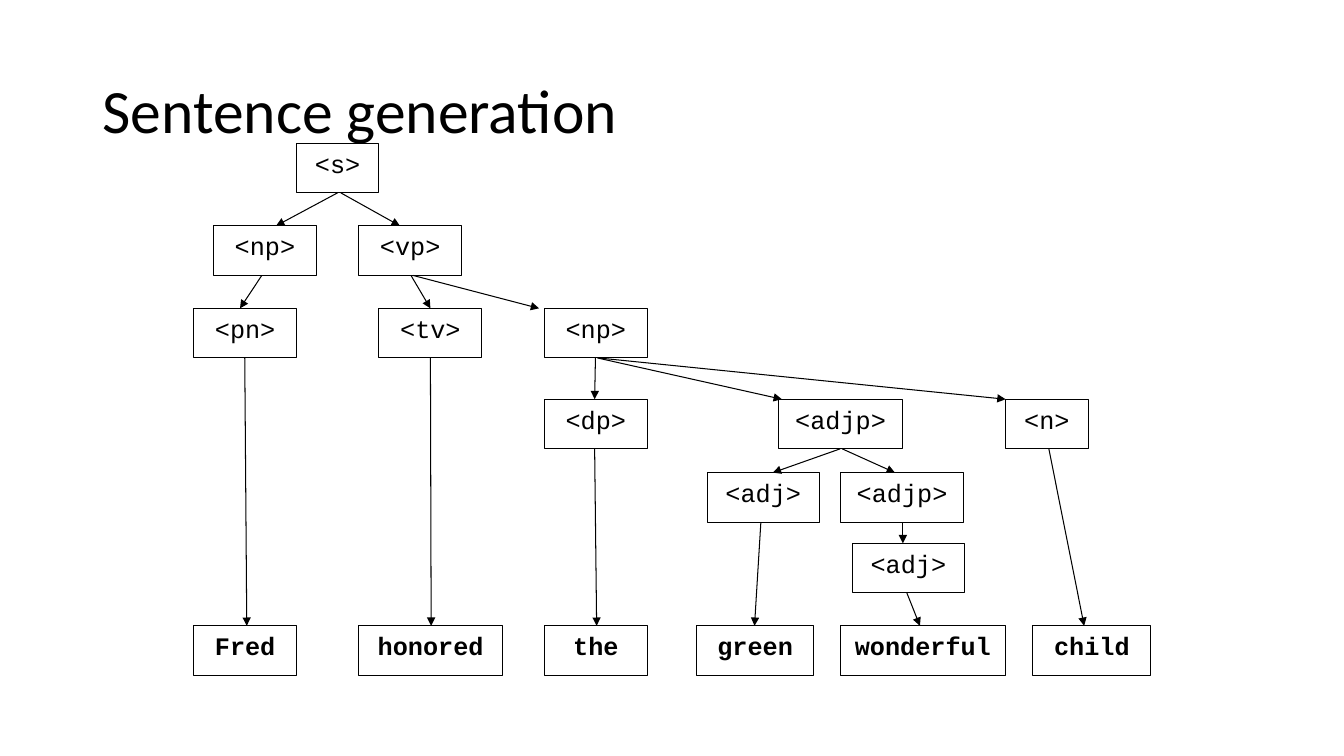
from lxml.etree import SubElement
from pptx import Presentation
from pptx.dml.color import RGBColor
from pptx.enum.shapes import MSO_CONNECTOR, MSO_SHAPE
from pptx.enum.text import MSO_ANCHOR, MSO_AUTO_SIZE, PP_ALIGN
from pptx.oxml.ns import qn
from pptx.util import Cm, Pt

COLOURS = {"ink": "000000", "paper": "FFFFFF"}
INK = RGBColor.from_string(COLOURS["ink"])
PAPER = RGBColor.from_string(COLOURS["paper"])

# Tree levels: top edge of each row, in cm; the last row holds the words
ROW_TOPS = [3.61, 5.69, 7.77, 10.06, 11.91, 13.69, 15.77]
WORD_ROW = len(ROW_TOPS) - 1
BOX_HEIGHT = 1.25

# Text, row, left, width
NODES = [
    ("<s>", 0, 7.47, 2.08),
    ("<np>", 1, 5.38, 2.6),
    ("<vp>", 1, 9.04, 2.6),
    ("<pn>", 2, 4.88, 2.6),
    ("<tv>", 2, 9.55, 2.6),
    ("<np>", 2, 13.72, 2.6),
    ("<dp>", 3, 13.72, 2.6),
    ("<adjp>", 3, 19.63, 3.12),
    ("<n>", 3, 25.35, 2.08),
    ("<adj>", 4, 17.83, 2.82),
    ("<adjp>", 4, 21.18, 3.12),
    ("<adj>", 5, 21.49, 2.82),
    ("Fred", WORD_ROW, 4.88, 2.6),
    ("honored", WORD_ROW, 9.04, 3.63),
    ("the", WORD_ROW, 13.72, 2.6),
    ("green", WORD_ROW, 17.55, 2.97),
    ("wonderful", WORD_ROW, 21.18, 4.17),
    ("child", WORD_ROW, 26.04, 2.97),
]

# Parent row, x at the parent, child row, x at the child
BRANCHES = [
    (0, 8.51, 1, 6.96),
    (0, 8.59, 1, 10.08),
    (1, 6.6, 2, 6.05),
    (1, 10.36, 2, 10.85),
    (1, 10.41, 2, 13.59),
    (2, 6.17, WORD_ROW, 6.22),
    (2, 10.85, WORD_ROW, 10.87),
    (2, 15.01, 3, 14.99),
    (2, 15.06, 3, 19.71),
    (2, 15.09, 3, 25.35),
    (3, 14.99, WORD_ROW, 15.04),
    (3, 21.18, 4, 19.48),
    (3, 21.23, 4, 22.56),
    (3, 26.44, WORD_ROW, 27.33),
    (4, 19.18, WORD_ROW, 19.02),
    (4, 22.76, 5, 22.76),
    (5, 22.86, WORD_ROW, 23.19),
]

presentation = Presentation()
presentation.slide_width = Cm(33.88)
presentation.slide_height = Cm(19.05)
slide = presentation.slides.add_slide(presentation.slide_layouts[5])

# Title
title = slide.shapes.title
title.left, title.top, title.width, title.height = Cm(2.33), Cm(1.01), Cm(29.21), Cm(3.68)
title.text_frame.text = "Sentence generation"
title.text_frame.auto_size = MSO_AUTO_SIZE.NONE
title.text_frame.vertical_anchor = MSO_ANCHOR.MIDDLE
paragraph = title.text_frame.paragraphs[0]
paragraph.alignment = PP_ALIGN.LEFT
paragraph.line_spacing = 0.9
paragraph.font.name = "Calibri"
paragraph.font.size = Pt(44)
paragraph.font.color.rgb = INK

# Node boxes
tree = slide.shapes.add_group_shape()
for text, row, left, width in NODES:
    shape = tree.shapes.add_shape(
        MSO_SHAPE.RECTANGLE, Cm(left), Cm(ROW_TOPS[row]), Cm(width), Cm(BOX_HEIGHT))
    shape.shadow.inherit = False
    shape.fill.solid()
    shape.fill.fore_color.rgb = PAPER
    shape.line.color.rgb = INK
    shape.line.width = Pt(0.75)
    shape.text_frame.text = text
    shape.text_frame.vertical_anchor = MSO_ANCHOR.TOP
    paragraph = shape.text_frame.paragraphs[0]
    paragraph.alignment = PP_ALIGN.CENTER
    font = paragraph.runs[0].font
    font.name = "Courier New"
    font.size = Pt(18)
    font.bold = row == WORD_ROW
    font.color.rgb = INK

# Arrows from the bottom of each parent to the top of its child
for parent_row, parent_x, child_row, child_x in BRANCHES:
    arrow = tree.shapes.add_connector(
        MSO_CONNECTOR.STRAIGHT,
        Cm(parent_x), Cm(ROW_TOPS[parent_row] + BOX_HEIGHT),
        Cm(child_x), Cm(ROW_TOPS[child_row]))
    arrow.line.color.rgb = INK
    arrow.line.width = Pt(0.75)
    SubElement(arrow.line._get_or_add_ln(), qn("a:tailEnd"), type="triangle")
    SubElement(arrow._element.spPr, qn("a:effectLst"))

presentation.save("out.pptx")
